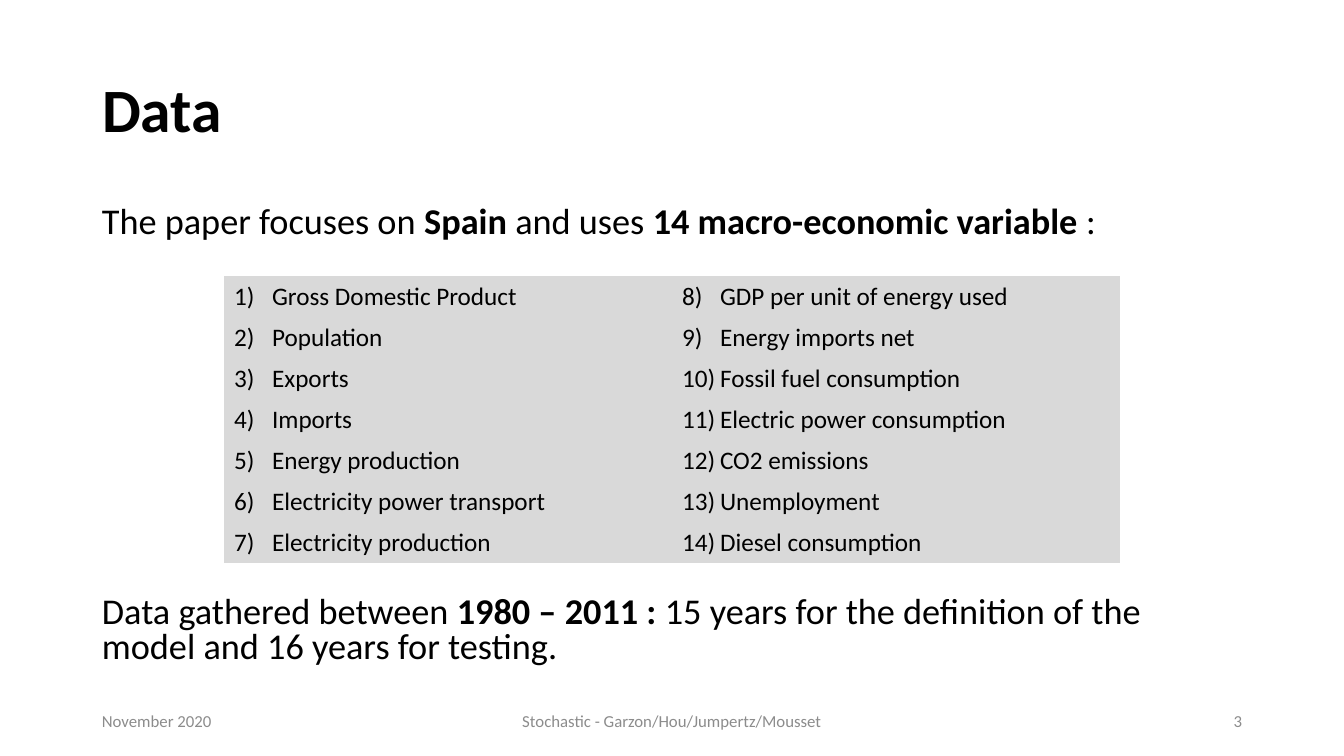
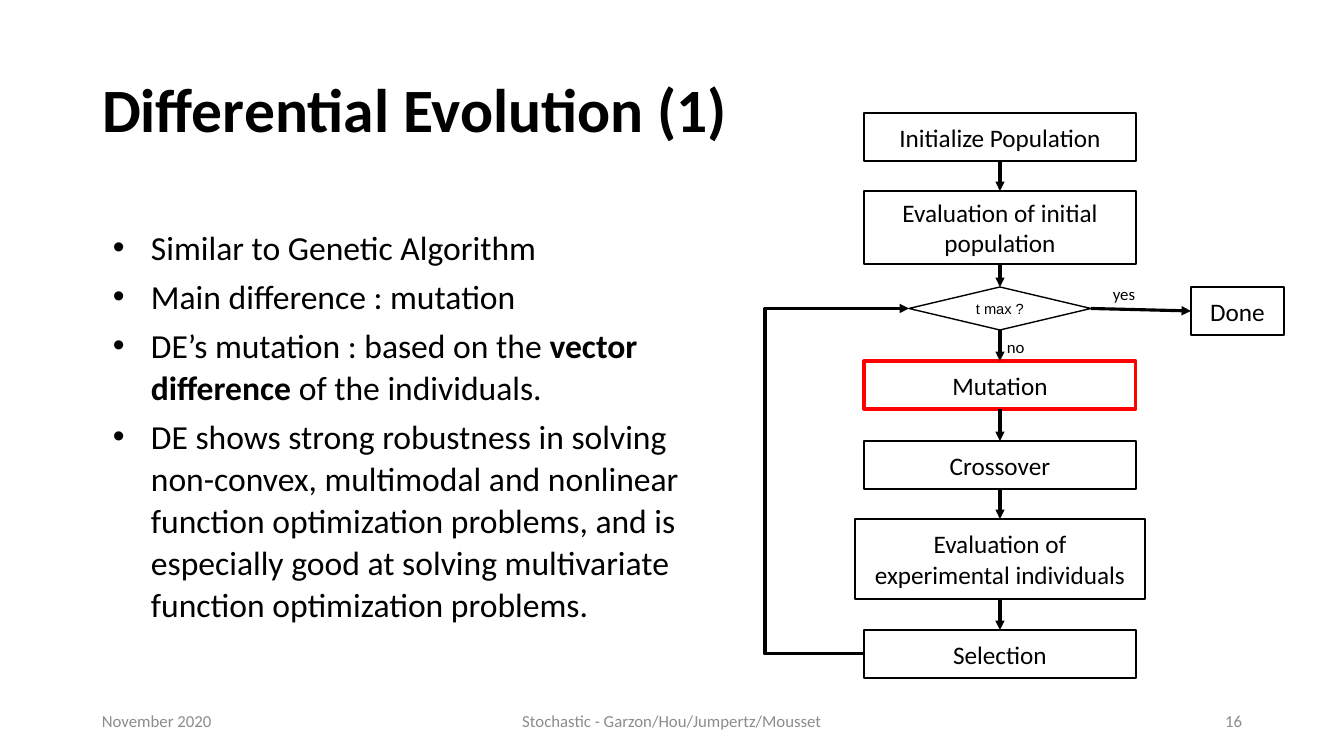
"""Build two slides on energy data and the differential evolution flow."""
from dataclasses import dataclass
from typing import NamedTuple

from lxml.etree import SubElement
from pptx import Presentation
from pptx.dml.color import RGBColor
from pptx.enum.shapes import MSO_CONNECTOR, MSO_SHAPE
from pptx.enum.text import MSO_ANCHOR, MSO_AUTO_SIZE, PP_ALIGN
from pptx.oxml.ns import qn
from pptx.util import Pt

PX = 914400 / 100.8
BLACK = RGBColor(0, 0, 0)
WHITE = RGBColor(255, 255, 255)
RED = RGBColor(255, 0, 0)
GRAY = RGBColor(0x8C, 0x8C, 0x8C)
PALE = RGBColor(0xD9, 0xD9, 0xD9)
FONT = "Calibri"
NO_STYLE = "{2D5ABB26-0587-4C30-8999-92F81FD0307C}"
TOP, LEFT, BOTTOM, RIGHT = range(4)
AXIS = 1000
HANG = 38


class Run(NamedTuple):
    text: str
    bold: bool = False


class Box(NamedTuple):
    x: int
    y: int
    w: int
    h: int


@dataclass(frozen=True)
class Style:
    size: float
    color: RGBColor = BLACK
    font: str = FONT
    align: PP_ALIGN = PP_ALIGN.LEFT


@dataclass(frozen=True)
class Node:
    name: str
    text: str
    box: Box
    line: RGBColor = BLACK
    weight: float = 1.5
    size: float = 18
    font: str = FONT
    kind: MSO_SHAPE = MSO_SHAPE.RECTANGLE


class Link(NamedTuple):
    start: str
    start_site: int
    end: str
    end_site: int


TITLE_BOX = Box(92, 40, 1160, 146)
TITLE = Style(44)
BODY = Style(25.9)
CELL = Style(18)
BULLET = Style(24)
LABEL = Style(12)
FOOTERS = [
    ("November 2020", Box(92, 701, 302, 40), PP_ALIGN.LEFT),
    ("Stochastic - Garzon/Hou/Jumpertz/Mousset", Box(445, 701, 454, 40), PP_ALIGN.CENTER),
]
NUMBER_BOX = Box(950, 701, 302, 40)

INTRO = [
    Run("The paper focuses on "), Run("Spain", True), Run(" and uses "),
    Run("14 macro-economic variable ", True), Run(":"),
]
PERIOD = [
    Run("Data gathered between "), Run("1980 – 2011 : ", True),
    Run("15 years for the definition of the model and 16 years for testing."),
]
VARIABLES = [
    "Gross Domestic Product", "Population", "Exports", "Imports",
    "Energy production", "Electricity power transport", "Electricity production",
    "GDP per unit of energy used", "Energy imports net", "Fossil fuel consumption",
    "Electric power consumption", "CO2 emissions", "Unemployment", "Diesel consumption",
]
POINTS = [
    [Run("Similar to Genetic Algorithm")],
    [Run("Main difference : mutation")],
    [Run("DE’s mutation : based on the "), Run("vector difference", True),
     Run(" of the individuals.")],
    [Run("DE shows strong robustness in solving non-convex, multimodal and nonlinear "
         "function optimization problems, and is especially good at solving "
         "multivariate function optimization problems.")],
]


def on_axis(y: int, h: int, w: int = 272) -> Box:
    """Return a box centred on the axis of the flow chart."""
    return Box(AXIS - w // 2, y, w, h)


NODES = [
    Node("init", "Initialize Population", on_axis(113, 48)),
    Node("first", "Evaluation of initial population", on_axis(191, 73)),
    Node("test", "t max ?", on_axis(287, 43, 182), weight=1, size=10.5,
         font="Arial", kind=MSO_SHAPE.DIAMOND),
    Node("mutation", "Mutation", on_axis(361, 48), line=RED, weight=2.25),
    Node("crossover", "Crossover", on_axis(441, 48)),
    Node("trial", "Evaluation of experimental individuals", on_axis(519, 80, 290)),
    Node("selection", "Selection", on_axis(630, 48)),
    Node("done", "Done", Box(1191, 287, 93, 48)),
]
CHAIN = [node.name for node in NODES if node.name != "done"]
LINKS = [Link(a, BOTTOM, b, TOP) for a, b in zip(CHAIN, CHAIN[1:])]
LINKS.append(Link("test", RIGHT, "done", LEFT))
LOOP = Link("selection", LEFT, "test", LEFT)
LABELS = [("no", Box(997, 332, 55, 30)), ("yes", Box(1103, 279, 55, 30))]


def emu(box: Box) -> list[int]:
    """Turn a box in pixels into lengths in EMU."""
    return [round(v * PX) for v in box]


def write(p, runs: list[Run], style: Style) -> None:
    """Add styled runs to a paragraph."""
    p.alignment = style.align
    for run in runs:
        r = p.add_run()
        r.text = run.text
        r.font.name = style.font
        r.font.size = Pt(style.size)
        r.font.bold = run.bold
        r.font.color.rgb = style.color


def add_bullet(p, tag: str, **attrs: str) -> None:
    """Give a paragraph a hanging indent and a bullet or number."""
    pPr = p._p.get_or_add_pPr()
    pPr.set("marL", str(round(HANG * PX)))
    pPr.set("indent", str(round(-HANG * PX)))
    SubElement(pPr, qn("a:buFont"), typeface="Arial" if tag == "a:buChar" else "+mj-lt")
    SubElement(pPr, qn(tag), **attrs)


def add_text(s, box: Box, runs: list[Run], style: Style,
             anchor: MSO_ANCHOR = MSO_ANCHOR.TOP):
    """Add a wrapping text box with one paragraph and return the paragraph."""
    tf = s.shapes.add_textbox(*emu(box)).text_frame
    tf.word_wrap = True
    tf.vertical_anchor = anchor
    write(tf.paragraphs[0], runs, style)
    return tf.paragraphs[0]


def add_slide(prs, title: str, number: int):
    """Add a slide with its title and footers."""
    s = prs.slides.add_slide(prs.slide_layouts[5])
    sp = s.shapes.title
    sp.left, sp.top, sp.width, sp.height = emu(TITLE_BOX)
    tf = sp.text_frame
    tf.auto_size = MSO_AUTO_SIZE.NONE
    tf.vertical_anchor = MSO_ANCHOR.MIDDLE
    tf.paragraphs[0].line_spacing = 0.9
    write(tf.paragraphs[0], [Run(title, True)], TITLE)
    for text, box, align in [*FOOTERS, (str(number), NUMBER_BOX, PP_ALIGN.RIGHT)]:
        add_text(s, box, [Run(text)], Style(12, GRAY, align=align), MSO_ANCHOR.MIDDLE)
    return s


def add_variables(s, box: Box, rows: int) -> None:
    """Add the numbered variables as a table filled column by column."""
    frame = s.shapes.add_table(rows, len(VARIABLES) // rows, *emu(box))
    table = frame.table
    table.first_row = table.horz_banding = False
    for style_id in frame.element.iter(qn("a:tableStyleId")):
        style_id.text = NO_STYLE
    for i, name in enumerate(VARIABLES):
        col, row = divmod(i, rows)
        cell = table.cell(row, col)
        cell.fill.solid()
        cell.fill.fore_color.rgb = PALE
        p = cell.text_frame.paragraphs[0]
        write(p, [Run(name)], CELL)
        add_bullet(p, "a:buAutoNum", type="arabicParenR", startAt=str(i + 1))


def add_points(s, box: Box) -> None:
    """Add the bulleted list."""
    tf = s.shapes.add_textbox(*emu(box)).text_frame
    tf.word_wrap = True
    for i, runs in enumerate(POINTS):
        p = tf.add_paragraph() if i else tf.paragraphs[0]
        p.line_spacing = Pt(30)
        p.space_after = Pt(5)
        write(p, runs, BULLET)
        add_bullet(p, "a:buChar", char="•")


def add_node(s, node: Node):
    """Add one step of the flow chart."""
    sp = s.shapes.add_shape(node.kind, *emu(node.box))
    sp.shadow.inherit = False
    if node.kind == MSO_SHAPE.DIAMOND:
        sp.fill.background()
    else:
        sp.fill.solid()
        sp.fill.fore_color.rgb = WHITE
    sp.line.color.rgb = node.line
    sp.line.width = Pt(node.weight)
    tf = sp.text_frame
    tf.word_wrap = True
    tf.vertical_anchor = MSO_ANCHOR.MIDDLE
    write(tf.paragraphs[0], [Run(node.text)],
          Style(node.size, font=node.font, align=PP_ALIGN.CENTER))
    return sp


def add_arrow(s, shapes: dict, link: Link,
              kind: MSO_CONNECTOR = MSO_CONNECTOR.STRAIGHT):
    """Add an arrow glued to two steps."""
    cxn = s.shapes.add_connector(kind, 0, 0, 0, 0)
    cxn.begin_connect(shapes[link.start], link.start_site)
    cxn.end_connect(shapes[link.end], link.end_site)
    cxn.line.color.rgb = BLACK
    cxn.line.width = Pt(2.25)
    SubElement(cxn.line._get_or_add_ln(), qn("a:tailEnd"), type="triangle")
    SubElement(cxn.element.spPr, qn("a:effectLst"))
    return cxn


def build_data(prs) -> None:
    """Build the slide on the data."""
    s = add_slide(prs, "Data", 3)
    for runs, box in [(INTRO, Box(92, 202, 1160, 50)), (PERIOD, Box(92, 592, 1160, 90))]:
        add_text(s, box, runs, BODY).line_spacing = 0.8
    add_variables(s, Box(224, 276, 896, 287), 7)


def build_evolution(prs) -> None:
    """Build the slide with the flow chart."""
    s = add_slide(prs, "Differential Evolution (1)", 16)
    add_points(s, Box(103, 220, 588, 410))
    shapes = {node.name: add_node(s, node) for node in NODES}
    for link in LINKS:
        add_arrow(s, shapes, link)
    loop = add_arrow(s, shapes, LOOP, MSO_CONNECTOR.ELBOW)
    geom = loop.element.spPr.find(qn("a:prstGeom"))
    SubElement(geom.find(qn("a:avLst")), qn("a:gd"), name="adj1", fmla="val -220000")
    for text, box in LABELS:
        add_text(s, box, [Run(text)], LABEL)


def main() -> None:
    """Build and save the presentation."""
    prs = Presentation()
    prs.slide_width, prs.slide_height = round(1344 * PX), round(756 * PX)
    build_data(prs)
    build_evolution(prs)
    prs.save("out.pptx")


main()
